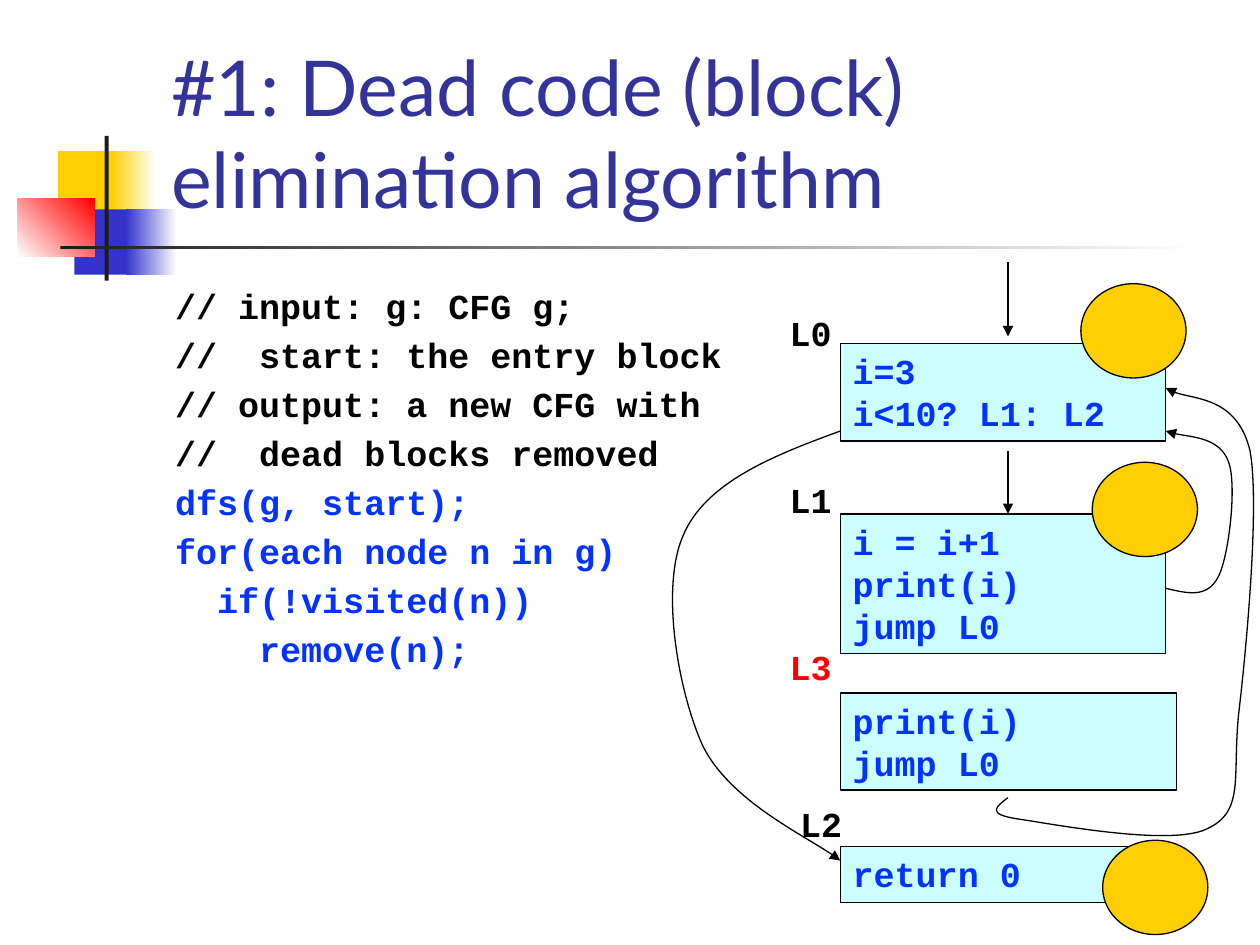
from pptx import Presentation
from pptx.dml.color import RGBColor
from pptx.enum.shapes import MSO_CONNECTOR, MSO_SHAPE
from pptx.enum.text import MSO_ANCHOR, MSO_AUTO_SIZE, PP_ALIGN
from pptx.oxml import parse_xml
from pptx.oxml.ns import nsdecls, qn
from pptx.util import Cm, Pt

RECT, OVAL = MSO_SHAPE.RECTANGLE, MSO_SHAPE.OVAL
STRAIGHT = MSO_CONNECTOR.STRAIGHT
LEFT = PP_ALIGN.LEFT
TOP, BOTTOM = MSO_ANCHOR.TOP, MSO_ANCHOR.BOTTOM
FIXED = MSO_AUTO_SIZE.NONE

COLORS = {
    "white": "FFFFFF", "black": "000000", "dark": "1C1C1C", "gold": "FFCF01",
    "indigo": "3333CC", "red": "FF0000", "title": "333399", "code": "0432FF",
    "block": "CCFFFF",
}


def rgb(name):
    return RGBColor.from_string(COLORS[name])


def write(frame, lines, gap=0):
    """Fill a frame with (text, color) lines of code."""
    frame.word_wrap = True
    frame.vertical_anchor = TOP
    for i, (text, color) in enumerate(lines):
        para = frame.paragraphs[0] if i == 0 else frame.add_paragraph()
        para.alignment = LEFT
        para.line_spacing = Pt(24)
        para.space_before = Pt(gap if i else 0)
        run = para.add_run()
        run.text = text
        font = run.font
        font.name, font.size, font.bold = "Courier New", Pt(20), True
        font.color.rgb = rgb(color)


def add_form(slide, kind, box, fill, line=None):
    form = slide.shapes.add_shape(kind, *(Cm(v) for v in box))
    form.shadow.inherit = False
    form.fill.solid()
    form.fill.fore_color.rgb = rgb(fill)
    if line:
        form.line.color.rgb = rgb(line)
        form.line.width = Pt(0.75)
    else:
        form.line.fill.background()
    return form


def fade(form, start, end, angle=0):
    form.fill.gradient()
    form.fill.gradient_angle = angle
    for stop, color in zip(form.fill.gradient_stops, (start, end)):
        stop.color.rgb = rgb(color)


def add_label(slide, box, lines, gap=0):
    label = slide.shapes.add_textbox(*(Cm(v) for v in box))
    write(label.text_frame, lines, gap)


def tip(path):
    """Draw a thin black line that ends in an arrowhead."""
    path.line.color.rgb = rgb("black")
    path.line.width = Pt(0.75)
    line = path.element.spPr.find(qn("a:ln"))
    line.append(parse_xml(f'<a:tailEnd {nsdecls("a")} type="triangle"/>'))


def add_arrow(slide, x, y, end):
    arrow = slide.shapes.add_connector(STRAIGHT, Cm(x), Cm(y), Cm(x), Cm(end))
    tip(arrow)
    arrow.element.spPr.append(parse_xml(f'<a:effectLst {nsdecls("a")}/>'))


def add_curve(slide, x, y, points):
    """Draw a start point followed by triples of Bezier points."""
    spots = [(Cm(x + px), Cm(y + py)) for px, py in points]
    pen = slide.shapes.build_freeform(*spots[0])
    pen.add_line_segments(spots[1:], close=False)
    curve = pen.convert_to_shape()
    curve.shadow.inherit = False
    curve.fill.background()
    steps = list(curve.element.iter(qn("a:lnTo")))
    for i in range(0, len(steps), 3):
        bend = parse_xml(f'<a:cubicBezTo {nsdecls("a")}/>')
        steps[i].addprevious(bend)
        for step in steps[i:i + 3]:
            bend.append(step[0])
            step.getparent().remove(step)
    tip(curve)


def add_decor(slide, x, y):
    parts = [
        (0.81, 0.31, 1.22, 1.32, "gold", None),
        (1.88, 0.31, 0.91, 1.32, "gold", ("gold", "white")),
        (1.14, 1.48, 1.17, 1.32, "indigo", None),
        (2.18, 1.48, 1.02, 1.32, "indigo", ("indigo", "white")),
        (0, 1.27, 1.55, 1.17, "red", ("white", "red", 45)),
        (1.75, 0, 0.08, 2.92, "dark", None),
        (0.86, 2.21, 22.86, 0.08, "dark", ("dark", "white")),
    ]
    for dx, dy, w, h, color, blend in parts:
        form = add_form(slide, RECT, (x + dx, y + dy, w, h), color)
        if blend:
            fade(form, *blend)


def set_title(slide, box, text):
    title = slide.shapes.title
    title.left, title.top, title.width, title.height = (Cm(v) for v in box)
    frame = title.text_frame
    frame.auto_size = FIXED
    frame.word_wrap = True
    frame.vertical_anchor = BOTTOM
    para = frame.paragraphs[0]
    para.alignment = LEFT
    run = para.add_run()
    run.text = text
    run.font.name, run.font.size = "Lato", Pt(44)
    run.font.color.rgb = rgb("title")
    title.element.getparent().append(title.element)


def add_code(slide, box):
    notes = ["// input: g: CFG g;", "//  start: the entry block",
             "// output: a new CFG with", "//  dead blocks removed"]
    code = ["dfs(g, start);", "for(each node n in g)",
            "  if(!visited(n))", "    remove(n);"]
    lines = [(t, "black") for t in notes] + [(t, "code") for t in code]
    add_label(slide, box, lines, gap=4)


def add_graph(slide, x, y):
    """Draw the control flow graph from its top left corner."""
    blocks = [
        (1.65, 6.55, 1.96, ["i=3", "i<10? L1: L2"]),
        (5.08, 6.55, 2.82, ["i = i+1", "print(i)", "jump L0"]),
        (8.69, 6.78, 1.96, ["print(i)", "jump L0"]),
        (11.79, 6.55, 1.12, ["return 0"]),
    ]
    for dy, w, h, code in blocks:
        block = add_form(slide, RECT, (x + 3.63, y + dy, w, h), "block", "black")
        write(block.text_frame, [(text, "code") for text in code])

    labels = [("L0", 2.36, 0.87, "black"), ("L1", 2.36, 4.25, "black"),
              ("L3", 2.36, 7.6, "red"), ("L2", 2.57, 10.77, "black")]
    for text, dx, dy, color in labels:
        add_label(slide, (x + dx, y + dy, 1.7, 1.09), [(text, color)])

    for start, end in [(0, 1.5), (3.81, 5.08)]:
        add_arrow(slide, x + 7.01, y + start, y + end)

    curves = [
        [(3.63, 3.41), (2.26, 3.91), (0.91, 4.45), (0.46, 5.52), (0, 6.58),
         (0.36, 8.66), (0.86, 9.76), (1.4, 10.85), (3.17, 11.69), (3.63, 12.07)],
        [(10.19, 6.58), (10.62, 6.68), (11.02, 6.79), (11.25, 6.35),
         (11.46, 5.95), (11.63, 4.52), (11.46, 4.04), (11.28, 3.53),
         (10.39, 3.51), (10.19, 3.41)],
        [(7.01, 10.8), (6.78, 10.98), (6.55, 11.13), (7.21, 11.23),
         (7.9, 11.33), (10.29, 11.79), (11.02, 11.43), (11.79, 11.08),
         (11.53, 10.39), (11.66, 9.12), (11.81, 7.85), (12.09, 4.91),
         (11.89, 3.81), (11.63, 2.72), (10.46, 2.77), (10.19, 2.54)],
    ]
    for points in curves:
        add_curve(slide, x, y, points)

    for dx, dy in [(8.48, 0.44), (8.71, 4.04), (8.92, 11.66)]:
        add_form(slide, OVAL, (x + dx, y + dy, 2.12, 1.9), "gold", "black")


def main():
    deck = Presentation()
    deck.slide_width, deck.slide_height = Cm(25.4), Cm(19.05)
    slide = deck.slides.add_slide(deck.slide_layouts[5])
    add_decor(slide, 0.36, 2.74)
    set_title(slide, (3.2, 0.58, 21.64, 4.06),
              "#1: Dead code (block) elimination algorithm")
    add_code(slide, (3.28, 5.61, 11.91, 11.43))
    add_graph(slide, 13.31, 5.28)
    deck.save("out.pptx")


if __name__ == "__main__":
    main()
